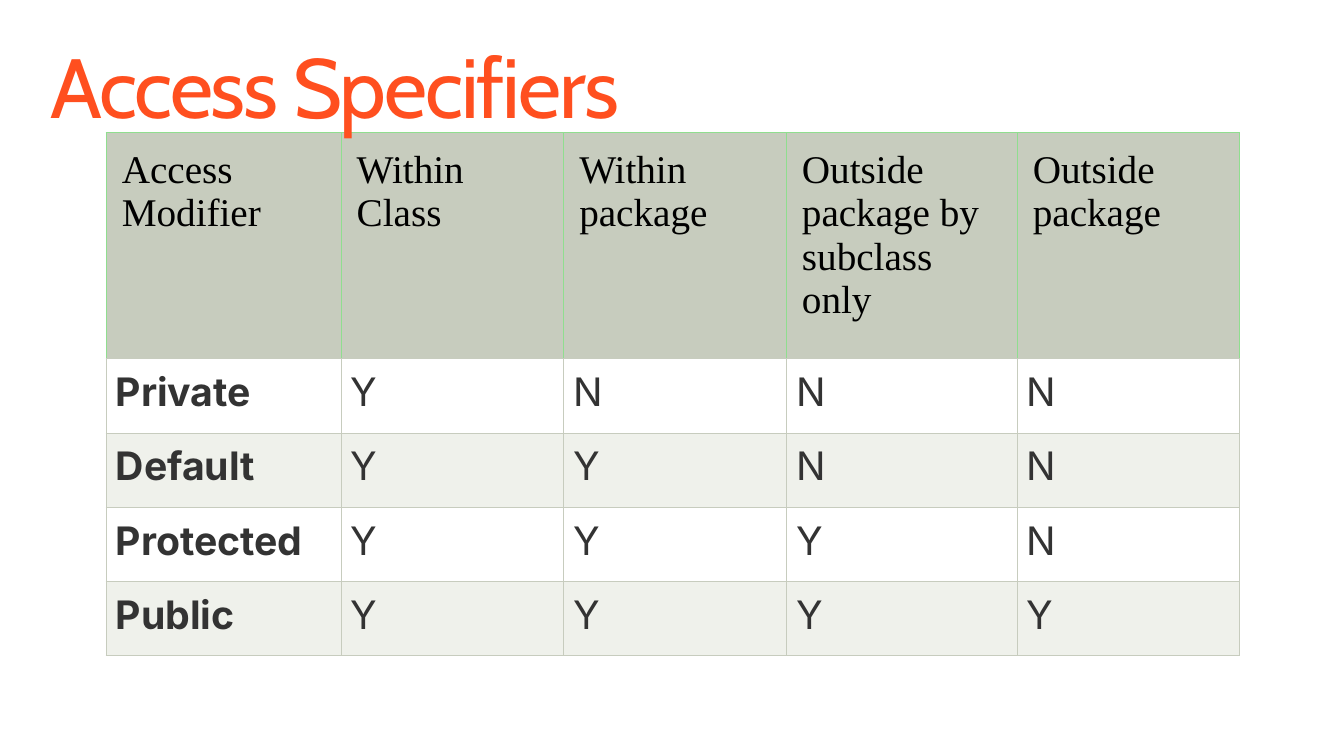
from dataclasses import dataclass

import pptx
import pptx.dml.color
import pptx.enum.text
import pptx.oxml
import pptx.oxml.ns
import pptx.util

Cm, Pt = pptx.util.Cm, pptx.util.Pt
ALIGN, ANCHOR = pptx.enum.text.PP_ALIGN, pptx.enum.text.MSO_ANCHOR


@dataclass(frozen=True)
class Theme:
    """Colours, fonts and sizes of the slide."""
    title: str = "FF4F1F"
    header_text: str = "000000"
    body_text: str = "333333"
    header_fill: str = "C7CCBE"
    bands: tuple = ("FFFFFF", "EFF1EB")
    grid: str = "C7CCBE"
    header_grid: str = "90DE8F"
    title_font: str = "Cabin"
    header_font: str = "Times New Roman"
    body_font: str = "Inter"
    title_size: int = 60
    table_size: int = 28
    grid_width: float = 0.6


THEME = Theme()
HEADERS = ["Access Modifier", "Within Class", "Within package",
           "Outside package by subclass only", "Outside package"]
ACCESS = {"Private": "YNNN", "Default": "YYNN", "Protected": "YYYN", "Public": "YYYY"}
COLUMN_WIDTHS = [5.92, 5.61, 5.61, 5.82, 5.61]
HEADER_HEIGHT, ROW_HEIGHT = 5.7, 1.87


def rgb(value):
    """Return a colour object for a hex value."""
    return pptx.dml.color.RGBColor.from_string(value)


def add_run(p, text, font, size, color, bold=False):
    """Add one formatted run to a paragraph."""
    r = p.add_run()
    r.text = text
    r.font.name, r.font.size, r.font.bold = font, Pt(size), bold
    r.font.color.rgb = rgb(color)
    return r


def set_margins(target, margin):
    """Set four equal insets on a cell or text frame."""
    for side in ("left", "top", "right", "bottom"):
        setattr(target, f"margin_{side}", Cm(margin))


def set_borders(cell, colors):
    """Draw the left, right, top and bottom borders of a cell."""
    tc_pr = cell._tc.get_or_add_tcPr()
    for i, (side, color) in enumerate(zip("LRTB", colors)):
        tc_pr.insert(i, pptx.oxml.parse_xml(
            f'<a:ln{side} {pptx.oxml.ns.nsdecls("a")} w="{Pt(THEME.grid_width)}">'
            f'<a:solidFill><a:srgbClr val="{color}"/></a:solidFill></a:ln{side}>'))


def fill_cell(cell, text, font, color, fill, margin, borders, bold=False, align=ALIGN.LEFT):
    """Write and format one table cell."""
    set_margins(cell, margin)
    cell.vertical_anchor = ANCHOR.TOP
    cell.fill.solid()
    cell.fill.fore_color.rgb = rgb(fill)
    set_borders(cell, borders)
    p = cell.text_frame.paragraphs[0]
    p.alignment = align
    add_run(p, text, font, THEME.table_size, color, bold)


def add_access_table(s, left, top):
    """Add the table of access modifiers."""
    heights = [HEADER_HEIGHT] + [ROW_HEIGHT] * len(ACCESS)
    table = s.shapes.add_table(len(heights), len(COLUMN_WIDTHS), Cm(left), Cm(top),
                               Cm(sum(COLUMN_WIDTHS)), Cm(sum(heights))).table
    table.first_row = table.horz_banding = False
    for column, width in zip(table.columns, COLUMN_WIDTHS):
        column.width = Cm(width)
    for row, height in zip(table.rows, heights):
        row.height = Cm(height)
    for cell, text in zip(table.rows[0].cells, HEADERS):
        fill_cell(cell, text, THEME.header_font, THEME.header_text, THEME.header_fill,
                  0.4, [THEME.header_grid] * 3 + [THEME.grid])
    for i, (modifier, flags) in enumerate(ACCESS.items()):
        for j, text in enumerate([modifier, *flags]):
            fill_cell(table.cell(i + 1, j), text, THEME.body_font, THEME.body_text,
                      THEME.bands[i % 2], 0.25, [THEME.grid] * 4, j == 0, ALIGN.JUSTIFY)


def place_title(s, left, top, width, height):
    """Place the title in front of the table."""
    sp = s.shapes.title
    sp.left, sp.top, sp.width, sp.height = Cm(left), Cm(top), Cm(width), Cm(height)
    tf = sp.text_frame
    tf.word_wrap = True
    tf.auto_size = pptx.enum.text.MSO_AUTO_SIZE.NONE
    tf.vertical_anchor = ANCHOR.MIDDLE
    set_margins(tf, 0)
    p = tf.paragraphs[0]
    p.alignment, p.line_spacing = ALIGN.LEFT, 0.9
    r = add_run(p, "Access Specifiers", THEME.title_font, THEME.title_size, THEME.title)
    r.font._element.set("spc", "-150")
    s.shapes.element.append(sp.element)


def main():
    """Build and save the presentation."""
    prs = pptx.Presentation()
    prs.slide_width, prs.slide_height = Cm(33.87), Cm(19.05)
    s = prs.slides.add_slide(prs.slide_layouts[5])
    add_access_table(s, 2.67, 3.34)
    place_title(s, 1.27, 1.04, 31.32, 2.51)
    prs.save("out.pptx")


main()
